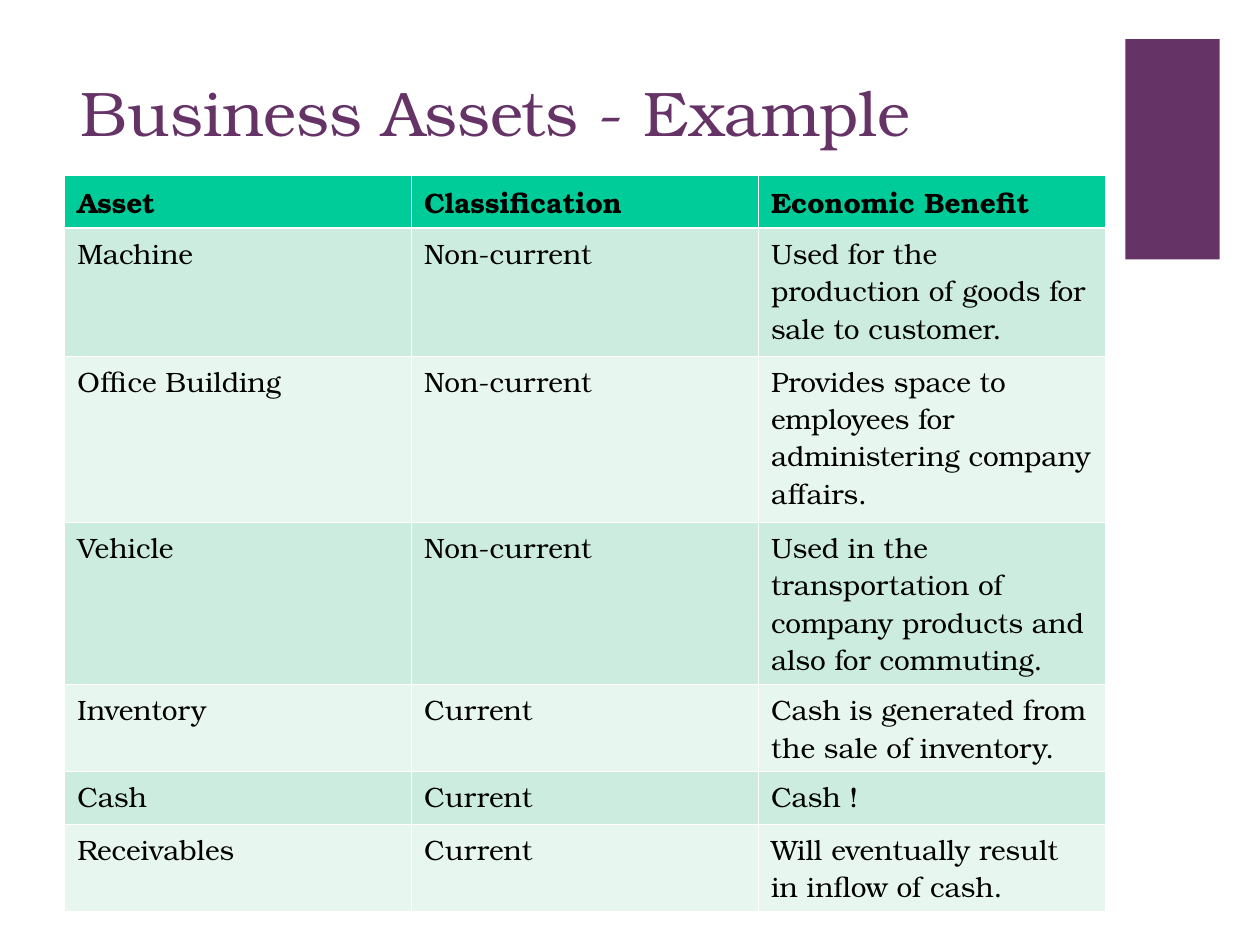
"""Build the business assets example slide."""
from lxml import etree
from pptx import Presentation, util as u
from pptx.dml import color
from pptx.enum import shapes, text
from pptx.oxml import ns

FONT = "TeX Gyre Bonum"
PURPLE = "663366"
TITLE_FORMAT = {"name": FONT, "size": u.Pt(36), "bold": False}
HEADER_FORMAT = {"name": FONT, "size": u.Pt(16), "bold": True}
BODY_FORMAT = {**HEADER_FORMAT, "bold": False}
ROWS = [
    (30.2, "00CC99", ("Asset", "Classification", "Economic Benefit")),
    (73, "CBECDE", ("Machine", "Non-current",
                    "Used for the production of goods for sale to customer.")),
    (95, "E7F6EF", ("Office Building", "Non-current",
                    "Provides space to employees for administering company affairs.")),
    (92.8, "CBECDE", ("Vehicle", "Non-current",
                      "Used in the transportation of company products and also for commuting.")),
    (49.8, "E7F6EF", ("Inventory", "Current",
                      "Cash is generated from the sale of inventory.")),
    (30.2, "CBECDE", ("Cash", "Current", "Cash !")),
    (49.8, "E7F6EF", ("Receivables", "Current",
                      "Will eventually result in inflow of cash.")),
]


def paint(target, hex_color):
    """Give a fill or a font a solid colour."""
    if hasattr(target, "solid"):
        target.solid()
        target.fore_color.rgb = color.RGBColor.from_string(hex_color)
    else:
        target.color.rgb = color.RGBColor.from_string(hex_color)


def write(paragraph, wording, formats, hex_color):
    """Add one formatted run to a paragraph."""
    run = paragraph.add_run()
    run.text = wording
    for attribute, value in formats.items():
        setattr(run.font, attribute, value)
    paint(run.font, hex_color)


presentation = Presentation()
presentation.slide_width = u.Pt(720)
presentation.slide_height = u.Pt(540)
slide = presentation.slides.add_slide(presentation.slide_layouts[6])

accent = slide.shapes.add_shape(
    shapes.MSO_SHAPE.RECTANGLE, u.Pt(643), u.Pt(22.3), u.Pt(54), u.Pt(126))
accent.shadow.inherit = False
paint(accent.fill, PURPLE)
accent.line.fill.background()

title = slide.shapes.add_textbox(u.Pt(39.2), u.Pt(38.2), u.Pt(595), u.Pt(68))
title.text_frame.word_wrap = True
title.text_frame.vertical_anchor = text.MSO_ANCHOR.TOP
write(title.text_frame.paragraphs[0], "Business Assets - Example", TITLE_FORMAT, PURPLE)

table_height = sum(height for height, _, _ in ROWS)
table = slide.shapes.add_table(
    len(ROWS), 3, u.Pt(37), u.Pt(100.2), u.Pt(594.6), u.Pt(table_height)).table
table.horz_banding = False
for column in table.columns:
    column.width = u.Pt(198.2)

for row_index, (height, fill, wordings) in enumerate(ROWS):
    table.rows[row_index].height = u.Pt(height)
    formats = BODY_FORMAT if row_index else HEADER_FORMAT
    thick_side = {0: "B", 1: "T"}.get(row_index)
    for cell, wording in zip(table.rows[row_index].cells, wordings):
        properties = cell._tc.get_or_add_tcPr()
        for side in "LRTB":
            width = u.Pt(1.47 if side == thick_side else 0.45)
            border = etree.SubElement(properties, ns.qn(f"a:ln{side}"), w=str(width))
            border_fill = etree.SubElement(border, ns.qn("a:solidFill"))
            etree.SubElement(border_fill, ns.qn("a:srgbClr"), val="FFFFFF")
        paint(cell.fill, fill)
        write(cell.text_frame.paragraphs[0], wording, formats, "000000")

presentation.save("out.pptx")
